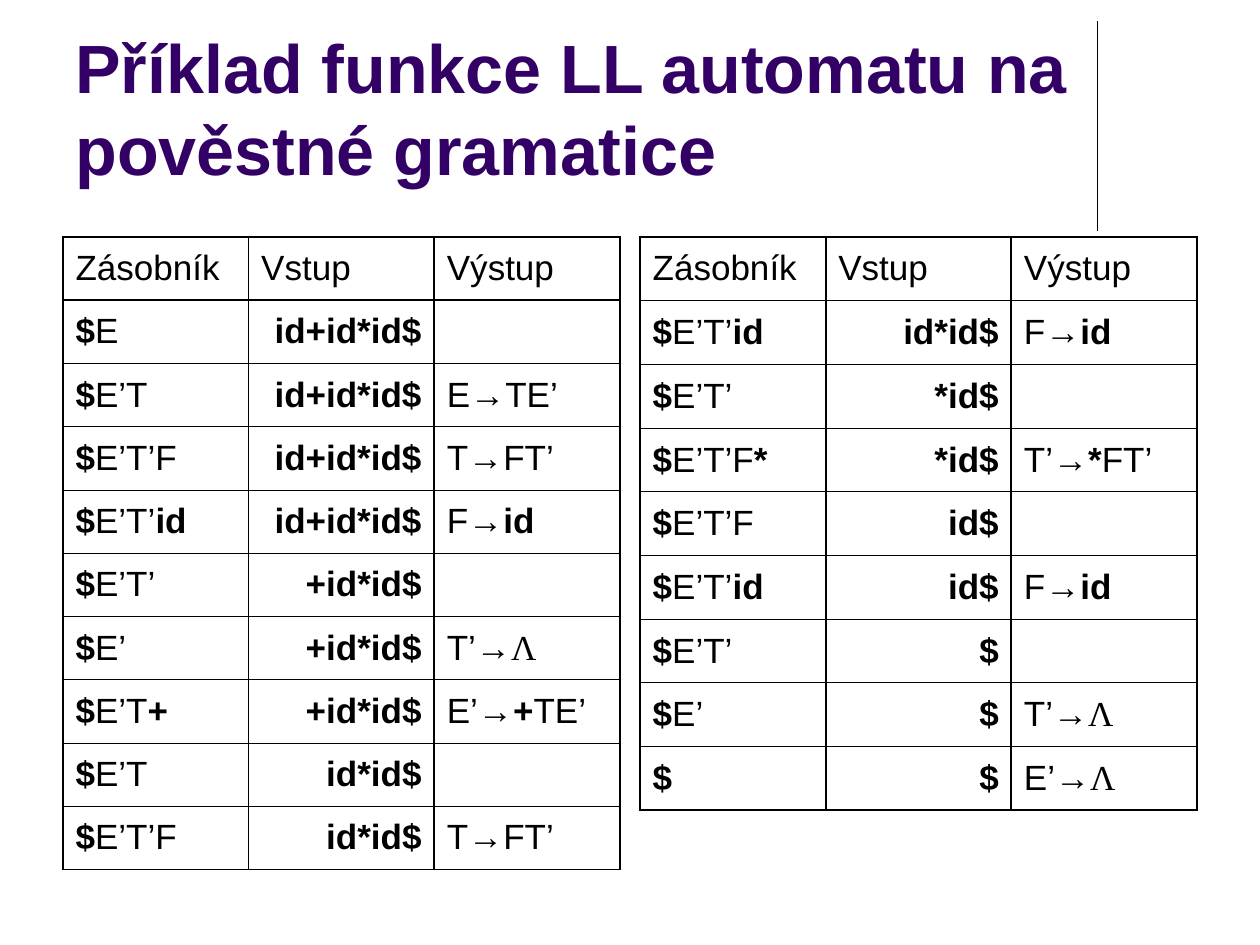
from dataclasses import dataclass
from itertools import groupby

from lxml.etree import SubElement
from pptx import Presentation
from pptx.dml.color import RGBColor
from pptx.enum.shapes import MSO_CONNECTOR
from pptx.enum.text import MSO_ANCHOR, PP_ALIGN
from pptx.oxml.ns import qn
from pptx.util import Inches, Pt

HUES = {"ink": "000000", "title": "330066"}
HEAD = ("Zásobník", "Vstup", "Výstup")
THICK, THIN = 1.08, 0.45


@dataclass
class Trace:
    """One table of automaton steps."""

    left: float
    height: float
    steps: list[tuple[str, str, str]]


TRACES = [
    Trace(0.5, 5.02, [
        ("$E", "id+id*id$", ""),
        ("$E’T", "id+id*id$", "E→TE’"),
        ("$E’T’F", "id+id*id$", "T→FT’"),
        ("$E’T’id", "id+id*id$", "F→id"),
        ("$E’T’", "+id*id$", ""),
        ("$E’", "+id*id$", "T’→Λ"),
        ("$E’T+", "+id*id$", "E’→+TE’"),
        ("$E’T", "id*id$", ""),
        ("$E’T’F", "id*id$", "T→FT’"),
    ]),
    Trace(5.08, 4.55, [
        ("$E’T’id", "id*id$", "F→id"),
        ("$E’T’", "*id$", ""),
        ("$E’T’F*", "*id$", "T’→*FT’"),
        ("$E’T’F", "id$", ""),
        ("$E’T’id", "id$", "F→id"),
        ("$E’T’", "$", ""),
        ("$E’", "$", "T’→Λ"),
        ("$", "$", "E’→Λ"),
    ]),
]


def add_run(para, text: str, size: float, hue: str, bold: bool, face: str = "Arial") -> None:
    """Append one styled run."""
    run = para.add_run()
    run.text = text
    run.font.size = Pt(size)
    run.font.name = face
    run.font.bold = bold
    run.font.color.rgb = RGBColor.from_string(HUES[hue])


def sort_of(char: str) -> str:
    """Tell terminals, the empty word and other symbols apart."""
    if char == "Λ":
        return "empty"
    return "term" if char in "id+*$" else "other"


def add_rule(para, text: str) -> None:
    """Write grammar symbols with bold terminals."""
    for sort, chars in groupby(text, sort_of):
        face = "Times New Roman" if sort == "empty" else "Arial"
        add_run(para, "".join(chars), 20, "ink", sort == "term", face)


def set_edges(cell, top: float, bottom: float) -> None:
    """Draw the four borders of a cell."""
    props = cell._tc.get_or_add_tcPr()
    edges = {"lnL": THICK, "lnR": THICK, "lnT": top, "lnB": bottom}
    for place, (tag, width) in enumerate(edges.items()):
        line = SubElement(props, qn(f"a:{tag}"), w=str(Pt(width)))
        fill = SubElement(line, qn("a:solidFill"))
        SubElement(fill, qn("a:srgbClr"), val=HUES["ink"])
        props.insert(place, line)


def add_trace(slide, trace: Trace) -> None:
    """Draw one table of steps."""
    rows = [HEAD, *trace.steps]
    count = len(rows)
    frame = slide.shapes.add_table(
        count, len(HEAD), Inches(trace.left), Inches(1.88), Inches(4.42), Inches(trace.height))
    table = frame.table
    table.first_row = table.horz_banding = False
    for r, row in enumerate(rows):
        table.rows[r].height = Inches(trace.height / count)
        top = THICK if r < 2 else THIN
        bottom = THICK if r in (0, count - 1) else THIN
        for c, text in enumerate(row):
            cell = table.cell(r, c)
            cell.fill.background()
            cell.vertical_anchor = MSO_ANCHOR.MIDDLE
            set_edges(cell, top, bottom)
            para = cell.text_frame.paragraphs[0]
            if r == 0:
                add_run(para, text, 20, "ink", False)
            else:
                para.alignment = PP_ALIGN.RIGHT if c == 1 else PP_ALIGN.LEFT
                add_rule(para, text)


def add_title(slide, text: str) -> None:
    """Write the slide title."""
    box = slide.shapes.add_textbox(Inches(0.5), Inches(0.13), Inches(8.25), Inches(1.42))
    frame = box.text_frame
    frame.word_wrap = True
    frame.vertical_anchor = MSO_ANCHOR.BOTTOM
    add_run(frame.paragraphs[0], text, 39, "title", True)


def add_bar(slide) -> None:
    """Draw the upright line beside the title."""
    bar = slide.shapes.add_connector(
        MSO_CONNECTOR.STRAIGHT, Inches(8.71), Inches(0.17), Inches(8.71), Inches(1.83))
    bar.line.width = Pt(0.75)
    bar.line.color.rgb = RGBColor.from_string(HUES["ink"])
    SubElement(bar._element.spPr, qn("a:effectLst"))


def main() -> None:
    """Build and save the slide."""
    deck = Presentation()
    deck.slide_width, deck.slide_height = Inches(10), Inches(7.5)
    slide = deck.slides.add_slide(deck.slide_layouts[6])
    add_bar(slide)
    add_title(slide, "Příklad funkce LL automatu na pověstné gramatice")
    for trace in TRACES:
        add_trace(slide, trace)
    deck.save("out.pptx")


if __name__ == "__main__":
    main()
